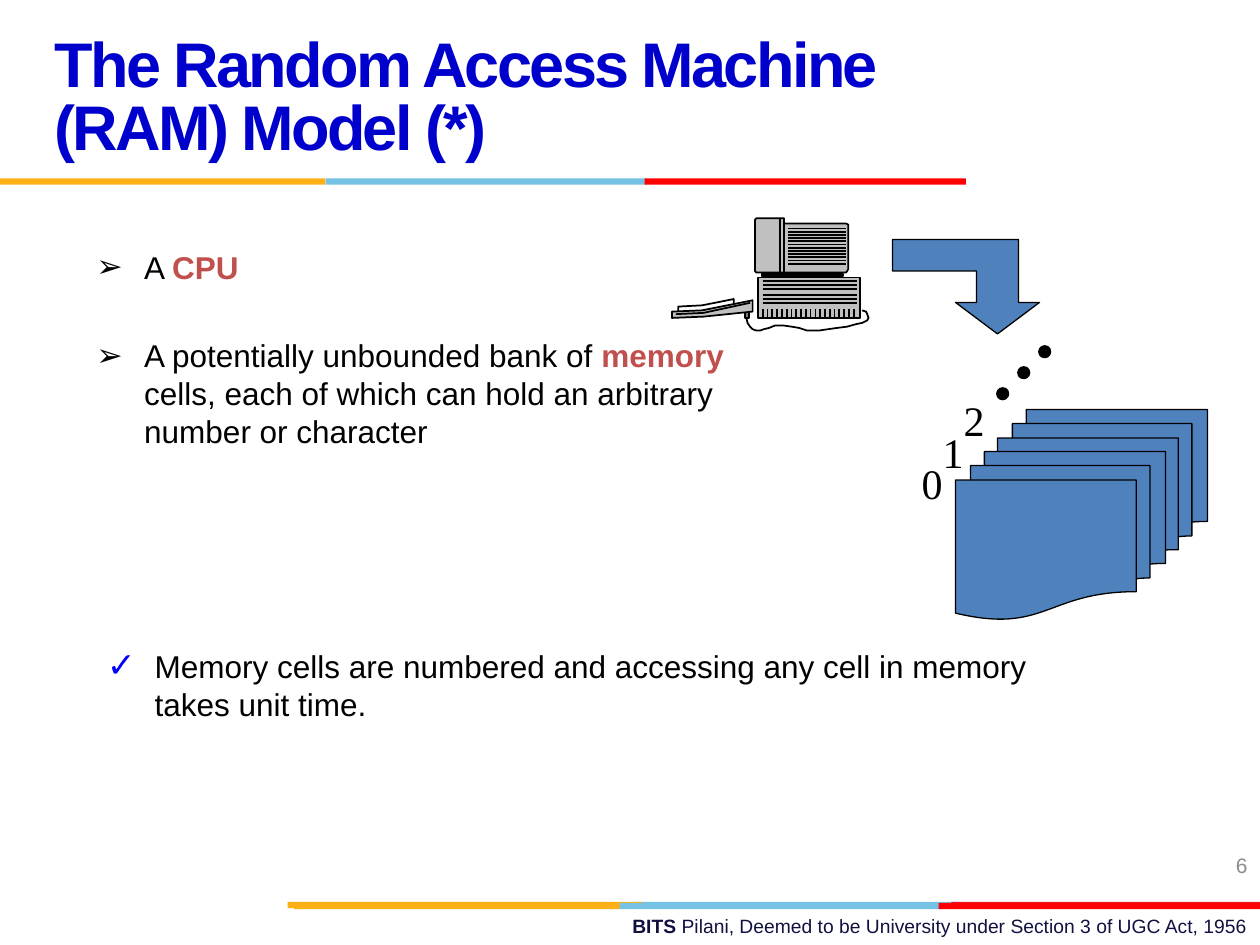
from lxml.etree import SubElement
from pptx import Presentation
from pptx.dml.color import RGBColor
from pptx.enum.shapes import MSO_CONNECTOR, MSO_SHAPE
from pptx.enum.text import MSO_ANCHOR, PP_ALIGN
from pptx.oxml.ns import qn
from pptx.util import Inches, Pt

# The slide is a grid of 120 columns by 90 rows, each cell 1/12 inch.
COLUMNS, ROWS = 120, 90
CELL = Inches(10) // COLUMNS

COLORS = {
    "title": "0000CC", "text": "000000", "accent": "C0504D", "check": "0000FF",
    "footer": "101141", "number": "8C8C8C", "memory": "4F81BD",
    "gold": "FCB017", "sky": "76C2E5", "red": "FF0000", "crimson": "E31C24",
    "case": "C0C0C0", "dark": "3F3F3F", "plug": "808080", "white": "FFFFFF",
}

TITLE = [("The Random Access Machine (RAM) Model (*)", "title", True)]
PARTS = [
    [("A ", "text", False), ("CPU", "accent", True)],
    [("A potentially unbounded bank of ", "text", False), ("memory", "accent", True),
     (" cells, each of which can hold an arbitrary number or character", "text", False)],
]
ACCESS = [("Memory cells are numbered and accessing any cell in memory takes unit time.",
           "text", False)]
FOOTER = [("BITS ", "footer", True),
          ("Pilani, Deemed to be University under Section 3 of UGC Act, 1956", "footer", False)]
CELL_NUMBERS = ["0", "1", "2"]

# Colour bars: left, top, width, colour
BARS = [
    (60.7, 85.9, 30.6, "sky"), (90.6, 85.9, 29.4, "crimson"), (27.4, 85.9, 33.8, "gold"),
    (59, 86, 30.6, "sky"), (28, 86, 31, "gold"), (89.4, 86, 30.6, "red"),
    (31, 17, 30.6, "sky"), (0, 17, 31, "gold"), (61.4, 17, 30.6, "red"),
]
ARROW = [(95, 31.8), (91, 28.8), (93, 28.8), (93, 25.8), (85, 25.8), (85, 22.8),
         (97, 22.8), (97, 28.8), (99, 28.8)]

# Computer outlines, in hundredths of an inch from its top left corner
COMPUTER_LEFT, COMPUTER_TOP, COMPUTER_UNIT = 64, 20.8, 0.12
KEYBOARD_TOP = [(5, 70), (24, 69), (49, 64), (49, 72), (23, 75), (5, 76)]
PLUG = [(58, 73), (61, 73), (61, 79), (58, 79)]
KEYBOARD = [(64, 65), (24, 73), (0, 74), (0, 79), (25, 78), (64, 74)]
KEYBOARD_EDGE = [(3, 76), (25, 75), (62, 67)]
CABLE = [(59, 79), (60, 83), (62, 86), (64, 88), (67, 89), (70, 89), (73, 88), (77, 87),
         (82, 85), (88, 85), (95, 86), (101, 87), (107, 89), (113, 89), (117, 89),
         (124, 88), (131, 87), (139, 86), (146, 84), (151, 83), (153, 82), (155, 81),
         (156, 79), (155, 76), (154, 74), (151, 73)]
CASE = [(68, 47), (149, 47), (149, 79), (68, 79)]
STAND = [(136, 46), (71, 46), (71, 44), (136, 44)]
MONITOR = [(89, 43), (138, 43), (139, 42), (140, 40), (140, 8), (140, 5), (138, 4), (89, 4)]
MONITOR_SIDE = [(89, 0), (89, 43), (67, 43), (66, 42), (66, 1), (67, 0)]
CASE_SLOTS = [((72, y), (147, y)) for y in (50, 53, 56, 61, 64, 67)]
CASE_VENTS = [((72 + 3.8 * i, 72), (72 + 3.8 * i, 80)) for i in range(20)]
SCREEN_LINES = [((92, 8 + 2.55 * i), (138, 8 + 2.55 * i)) for i in range(12)]
SIDE_EDGE = [((86, 0), (86, 45))]


def cells(*values):
    return [round(value * CELL) for value in values]


def color(name):
    return RGBColor.from_string(COLORS[name])


def paint(shape, fill=None, line=None, width=1):
    shape.shadow.inherit = False
    if fill:
        shape.fill.solid()
        shape.fill.fore_color.rgb = color(fill)
    else:
        shape.fill.background()
    if line:
        shape.line.color.rgb = color(line)
        shape.line.width = Pt(width)
    else:
        shape.line.fill.background()


def add_preset(slide, kind, box, **style):
    paint(slide.shapes.add_shape(kind, *cells(*box)), **style)


def add_outline(slide, points, closed=True, **style):
    start, *rest = [cells(*point) for point in points]
    builder = slide.shapes.build_freeform(*start, scale=1.0)
    builder.add_line_segments(rest, close=closed)
    paint(builder.convert_to_shape(), **style)


def add_line(slide, start, end):
    line = slide.shapes.add_connector(MSO_CONNECTOR.STRAIGHT, *cells(*start, *end))
    line.line.color.rgb = color("text")
    line.line.width = Pt(1)
    SubElement(line._element.spPr, qn("a:effectLst"))


def add_bullet(paragraph, character, tint=None, percent=100):
    properties = paragraph._p.get_or_add_pPr()
    properties.set("marL", str(Inches(0.38)))
    properties.set("indent", str(-Inches(0.38)))
    if tint:
        tint_element = SubElement(properties, qn("a:buClr"))
        SubElement(tint_element, qn("a:srgbClr")).set("val", COLORS[tint])
    SubElement(properties, qn("a:buSzPct")).set("val", str(percent * 1000))
    SubElement(properties, qn("a:buFont")).set("typeface", "Arial")
    SubElement(properties, qn("a:buChar")).set("char", character)


def add_text(slide, box, paragraphs, size, font="Arial", align=PP_ALIGN.LEFT,
             anchor=MSO_ANCHOR.TOP, wrap=True, bullet=None, gap=0,
             line_spacing=None, tracking=None):
    """Each paragraph is a list of (text, colour name, bold) runs."""
    frame = slide.shapes.add_textbox(*cells(*box)).text_frame
    frame.word_wrap = wrap
    frame.vertical_anchor = anchor
    for index, runs in enumerate(paragraphs):
        paragraph = frame.add_paragraph() if index else frame.paragraphs[0]
        if bullet:
            add_bullet(paragraph, **bullet)
        paragraph.alignment = align
        if line_spacing:
            paragraph.line_spacing = Pt(line_spacing)
        if index:
            paragraph.space_before = Pt(gap)
        for text, tint, bold in runs:
            run = paragraph.add_run()
            run.text = text
            run.font.name = font
            run.font.size = Pt(size)
            run.font.bold = bold
            run.font.color.rgb = color(tint)
            if tracking:
                run._r.get_or_add_rPr().set("spc", str(round(tracking * 100)))


def add_computer(slide):
    def place(points):
        return [(COMPUTER_LEFT + COMPUTER_UNIT * x, COMPUTER_TOP + COMPUTER_UNIT * y)
                for x, y in points]

    # Outline, fill, closed, and the lines drawn on top of it
    layers = [
        (KEYBOARD_TOP, "white", True, []), (PLUG, "plug", True, []),
        (KEYBOARD, "case", True, []), (KEYBOARD_EDGE, None, False, []),
        (CABLE, None, False, []), (CASE, "case", True, CASE_SLOTS + CASE_VENTS),
        (STAND, "dark", True, []), (MONITOR, "case", True, SCREEN_LINES),
        (MONITOR_SIDE, "case", True, SIDE_EDGE),
    ]
    for outline, fill, closed, lines in layers:
        add_outline(slide, place(outline), closed, fill=fill, line="text")
        for line in lines:
            add_line(slide, *place(line))


def add_memory_bank(slide):
    for left, top in [(95, 39), (91, 43)]:
        add_preset(slide, MSO_SHAPE.FLOWCHART_MULTIDOCUMENT, (left, top, 20, 16),
                   fill="memory", line="text", width=0.75)
    for index, number in enumerate(CELL_NUMBERS):
        add_text(slide, (86.6 + 2 * index, 43 - 3 * index, 4.4, 6),
                 [[(number, "text", False)]], 24, font="Times New Roman", wrap=False)
    for index in range(3):
        add_preset(slide, MSO_SHAPE.OVAL, (95 + 2 * index, 37 - 2 * index, 1, 1),
                   fill="text", line="text", width=1.5)
    add_outline(slide, ARROW, fill="memory", line="text", width=0.75)


def main():
    presentation = Presentation()
    presentation.slide_width, presentation.slide_height = cells(COLUMNS, ROWS)
    slide = presentation.slides.add_slide(presentation.slide_layouts[6])

    add_text(slide, (43, 86.5, 77, 3.5), [FOOTER], 11, align=PP_ALIGN.RIGHT)
    for left, top, width, fill in BARS:
        add_preset(slide, MSO_SHAPE.RECTANGLE, (left, top, width, 0.6), fill=fill)
    add_text(slide, (4, 2, 83, 15), [TITLE], 36, anchor=MSO_ANCHOR.MIDDLE,
             line_spacing=36, tracking=-1.5)
    add_text(slide, (92, 80, 28, 4.8), [[("6", "number", False)]], 12,
             align=PP_ALIGN.RIGHT, anchor=MSO_ANCHOR.MIDDLE)
    add_text(slide, (8, 23, 66.7, 22), PARTS, 18, bullet={"character": "➢"}, gap=29)
    add_computer(slide)
    add_memory_bank(slide)
    add_text(slide, (9, 61, 96, 15), [ACCESS], 18,
             bullet={"character": "✓", "tint": "check", "percent": 110})
    presentation.save("out.pptx")


if __name__ == "__main__":
    main()
